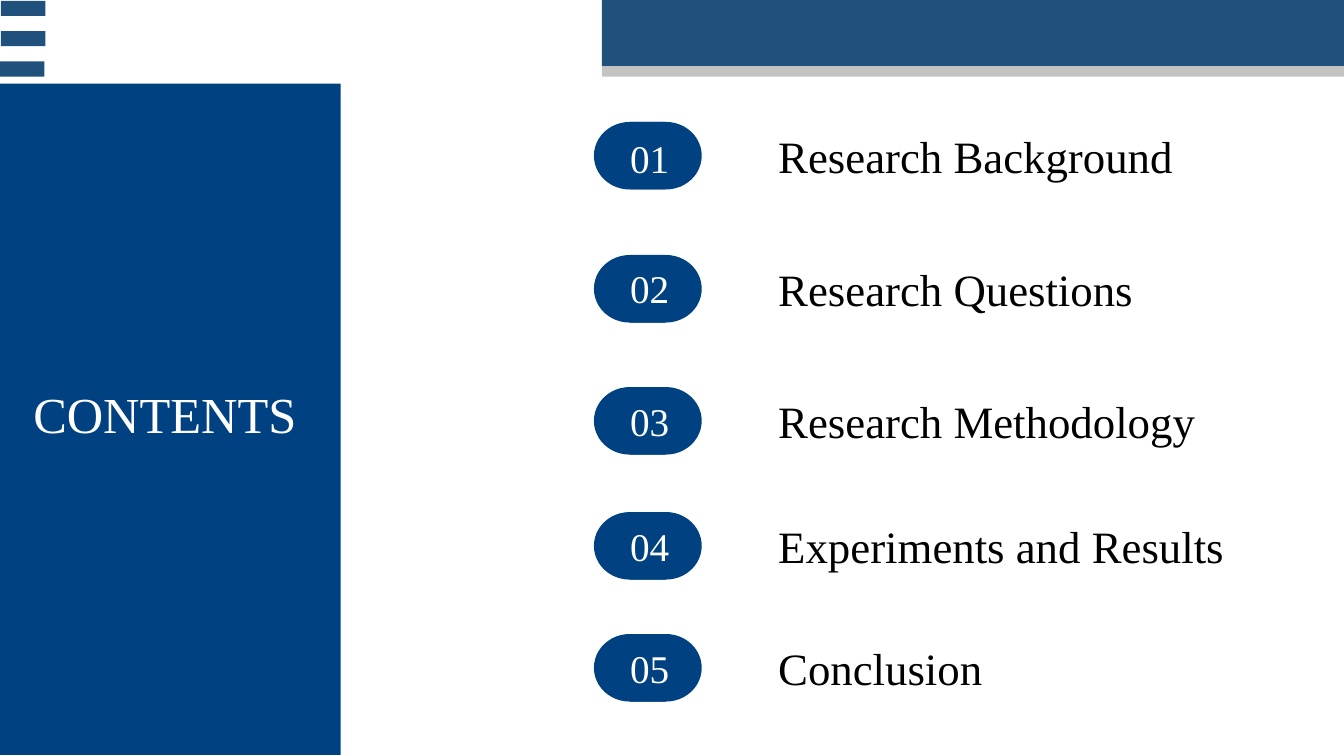
from dataclasses import dataclass

from pptx import Presentation
from pptx.dml.color import RGBColor
from pptx.enum.shapes import MSO_SHAPE
from pptx.enum.text import MSO_ANCHOR, PP_ALIGN
from pptx.shapes.autoshape import Shape
from pptx.shapes.shapetree import GroupShapes, SlideShapes
from pptx.util import Inches, Pt

RECT = MSO_SHAPE.RECTANGLE
DELAY = MSO_SHAPE.FLOWCHART_DELAY
TOP = MSO_ANCHOR.TOP
LEFT = PP_ALIGN.LEFT

NAVY = RGBColor(0x00, 0x41, 0x81)
STEEL = RGBColor(0x20, 0x51, 0x7C)
GRAY = RGBColor(0xC3, 0xC3, 0xC1)
WHITE = RGBColor(0xFF, 0xFF, 0xFF)
BLACK = RGBColor(0x00, 0x00, 0x00)
FONT = "Times New Roman"

Box = tuple[float, float, float, float]


@dataclass
class Block:
    box: Box
    color: RGBColor


@dataclass
class Topic:
    top: float
    drop: float  # from the top of the badge to its number box
    label: str
    width: float = 4.37


STRIPES = [
    Block((0.01 if row < 4 else 0, 0.01 + 0.15 * row, 0.44, 0.15),
          WHITE if row % 2 else STEEL)
    for row in range(5)
]
BLOCKS = STRIPES + [
    Block((5.97, -0.01, 7.36, 0.67), STEEL),
    Block((5.97, 0.66, 7.36, 0.1), GRAY),
    Block((0, 0.83, 3.38, 6.66), NAVY),
]
TOPICS = [
    Topic(1.21, 0.07, "Research Background"),
    Topic(2.53, 0.04, "Research Questions"),
    Topic(3.84, 0.05, "Research Methodology"),
    Topic(5.08, 0.05, "Experiments and Results", 4.69),
    Topic(6.29, 0.05, "Conclusion"),
]


def add_block(shapes: SlideShapes | GroupShapes, kind: MSO_SHAPE,
              box: Box, color: RGBColor) -> Shape:
    shape = shapes.add_shape(kind, *map(Inches, box))
    shape.shadow.inherit = False
    shape.fill.solid()
    shape.fill.fore_color.rgb = color
    shape.line.fill.background()
    return shape


def set_text(shape: Shape, text: str, size: int, color: RGBColor) -> None:
    frame = shape.text_frame
    frame.text = text
    frame.word_wrap = True
    frame.vertical_anchor = TOP
    line = frame.paragraphs[0]
    line.alignment = LEFT
    line.line_spacing = 1.0
    font = line.runs[0].font
    font.name = FONT
    font.size = Pt(size)
    font.color.rgb = color


def add_title(shapes: SlideShapes) -> None:
    title = shapes.title
    title.left, title.top = Inches(0.23), Inches(3.75)
    title.width, title.height = Inches(2.93), Inches(0.71)
    set_text(title, "CONTENTS", 36, WHITE)
    # Bring the title in front of the side panel
    title.element.getparent().append(title.element)


def add_topic(shapes: SlideShapes, num: int, topic: Topic) -> None:
    badge = shapes.add_group_shape().shapes
    for left, turn in ((6.25, 0), (5.89, 180)):
        end = add_block(badge, DELAY, (left, topic.top, 0.71, 0.67), NAVY)
        end.rotation = turn
    box = (6.15, topic.top + topic.drop, 0.61, 0.57)
    set_text(add_block(badge, RECT, box, NAVY), f"{num:02}", 28, WHITE)

    box = (7.62, topic.top + 0.02, topic.width, 0.64)
    set_text(shapes.add_textbox(*map(Inches, box)), topic.label, 32, BLACK)


def main() -> None:
    deck = Presentation()
    deck.slide_width, deck.slide_height = Inches(13.33), Inches(7.5)
    shapes = deck.slides.add_slide(deck.slide_layouts[5]).shapes
    for block in BLOCKS:
        add_block(shapes, RECT, block.box, block.color)
    add_title(shapes)
    for num, topic in enumerate(TOPICS, 1):
        add_topic(shapes, num, topic)
    deck.save("out.pptx")


if __name__ == "__main__":
    main()
